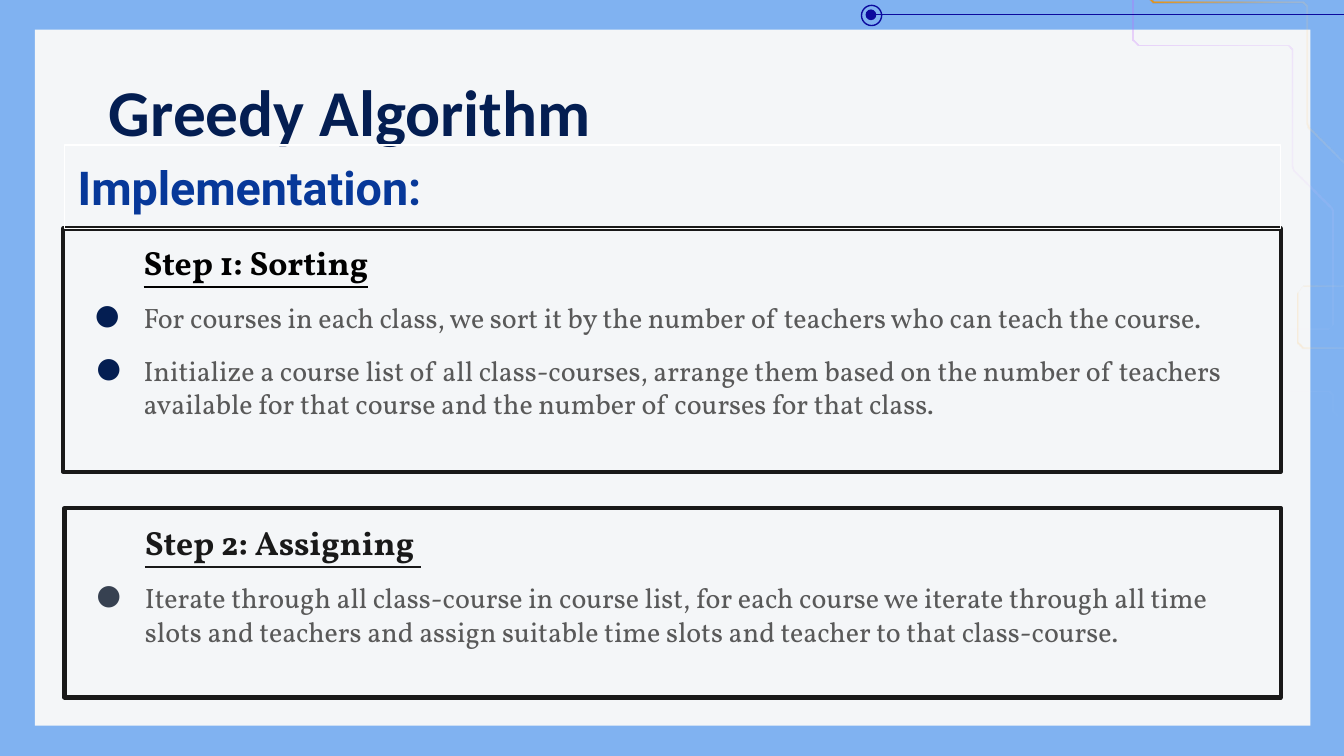
"""Build the Greedy Algorithm implementation slide."""
from dataclasses import dataclass
from typing import Optional

from lxml import etree
from pptx import Presentation
from pptx.dml.color import RGBColor
from pptx.enum.shapes import MSO_CONNECTOR, MSO_SHAPE
from pptx.enum.text import MSO_ANCHOR, MSO_AUTO_SIZE, PP_ALIGN
from pptx.oxml import parse_xml
from pptx.oxml.ns import nsdecls, qn
from pptx.util import Inches, Pt

RECTANGLE = MSO_SHAPE.RECTANGLE
OVAL = MSO_SHAPE.OVAL
STRAIGHT = MSO_CONNECTOR.STRAIGHT
TOP = MSO_ANCHOR.TOP
LEFT = PP_ALIGN.LEFT
NO_AUTOFIT = MSO_AUTO_SIZE.NONE

SLIDE_WIDTH = Inches(10)
SLIDE_HEIGHT = SLIDE_WIDTH * 9 // 16

SKY = RGBColor(0x80, 0xB2, 0xF1)
PAPER = RGBColor(0xF4, 0xF6, 0xF8)
WHITE = RGBColor(0xFF, 0xFF, 0xFF)
BLACK = RGBColor(0x00, 0x00, 0x00)
INK = RGBColor(0x19, 0x19, 0x19)
NAVY = RGBColor(0x04, 0x1E, 0x52)
BLUE = RGBColor(0x07, 0x38, 0x99)
INDIGO = RGBColor(0x0C, 0x0A, 0x9E)
SLATE = RGBColor(0x37, 0x41, 0x51)
GRAY = RGBColor(0x59, 0x59, 0x59)
PURPLE = RGBColor(0x99, 0x00, 0xFF)
AMBER = RGBColor(0xEB, 0x91, 0x09)
ORANGE = RGBColor(0xFF, 0x99, 0x00)

TRACE = [
    (8.43, -3.08), (8.43, -2.23), (8.47, -2.19), (8.89, -2.19), (8.92, -2.16),
    (8.92, -0.68), (8.89, -0.65), (8.47, -0.65), (8.43, -0.61), (8.43, 0.3),
    (8.47, 0.34), (9.58, 0.34), (9.61, 0.37), (9.61, 1.24), (9.62, 1.27),
    (9.9, 1.55), (9.91, 1.57), (9.91, 2.42), (9.88, 2.45), (9.58, 2.45),
    (9.54, 2.5), (9.54, 2.87), (9.58, 2.91), (9.88, 2.91), (9.91, 2.94),
    (9.91, 3.06), (9.95, 3.1), (10.07, 3.1), (10.1, 3.13), (10.07, 3.16),
]
TRACE_WIDTH = 0.01


@dataclass(frozen=True)
class Circuit:
    shift: tuple[float, float]
    angle: int
    stops: list[tuple[int, RGBColor, int]]


@dataclass(frozen=True)
class Step:
    box: tuple[float, float, float, float]
    heading: str
    heading_color: RGBColor
    bullet_color: RGBColor
    bullets: list[tuple[str, float]]


CIRCUITS = [
    Circuit((0, 0), 45, [(0, PURPLE, 47), (100, WHITE, 0)]),
    Circuit((0.11, -0.32), 0,
            [(0, AMBER, 100), (40, ORANGE, 41), (100, WHITE, 0)]),
]

STEPS = [
    Step((0.47, 1.7, 9.06, 1.81), "Step 1: Sorting", BLACK, NAVY, [
        ("For courses in each class, we sort it by the number of teachers "
         "who can teach the course.", 0.36),
        ("Initialize a course list of all class-courses, arrange them based on "
         "the number of teachers available for that course and the number of "
         "courses for that class.", 0.35),
    ]),
    Step((0.48, 3.78, 9.05, 1.41), "Step 2: Assigning ", INK, SLATE, [
        ("Iterate through all class-course in course list, for each course we "
         "iterate through all time slots and teachers and assign suitable time "
         "slots and teacher to that class-course.", 0.36),
    ]),
]


def add_shape(slide, kind, box, fill: Optional[RGBColor] = None,
              line: Optional[RGBColor] = None, width: float = 0.75):
    shape = slide.shapes.add_shape(kind, *map(Inches, box))
    shape.shadow.inherit = False
    if fill is None:
        shape.fill.background()
    else:
        shape.fill.solid()
        shape.fill.fore_color.rgb = fill
    if line is None:
        shape.line.fill.background()
    else:
        shape.line.color.rgb = line
        shape.line.width = Pt(width)
    return shape


def prepare_text(shape):
    frame = shape.text_frame
    frame.word_wrap = True
    frame.auto_size = NO_AUTOFIT
    frame.vertical_anchor = TOP
    frame.margin_left = frame.margin_right = Inches(0.1)
    frame.margin_top = frame.margin_bottom = Inches(0.1)
    frame.paragraphs[0].alignment = LEFT
    return frame


def add_run(paragraph, text: str, font: str, size: float, color: RGBColor,
            bold: bool = True, underline: bool = False) -> None:
    run = paragraph.add_run()
    run.text = text
    run.font.name = font
    run.font.size = Pt(size)
    run.font.bold = bold
    run.font.underline = underline
    run.font.color.rgb = color


def add_circuit(slide, circuit: Circuit) -> None:
    shift_x, shift_y = circuit.shift
    outline = TRACE + [(x + TRACE_WIDTH, y - TRACE_WIDTH)
                       for x, y in reversed(TRACE)]
    points = [(Inches(x + shift_x), Inches(y + shift_y)) for x, y in outline]
    builder = slide.shapes.build_freeform(*points[0], scale=1.0)
    builder.add_line_segments(points[1:], close=True)
    shape = builder.convert_to_shape()
    shape.shadow.inherit = False
    shape.line.fill.background()
    stops = "".join(
        f'<a:gs pos="{position * 1000}"><a:srgbClr val="{color}">'
        f'<a:alpha val="{alpha * 1000}"/></a:srgbClr></a:gs>'
        for position, color, alpha in circuit.stops)
    gradient = parse_xml(
        f'<a:gradFill {nsdecls("a")}><a:gsLst>{stops}</a:gsLst>'
        f'<a:lin ang="{circuit.angle * 60000}" scaled="0"/></a:gradFill>')
    shape.element.spPr.find(qn("a:custGeom")).addnext(gradient)


def add_wire(slide) -> None:
    add_shape(slide, OVAL, (6.41, 0.04, 0.15, 0.15), line=INDIGO)
    wire = slide.shapes.add_connector(
        STRAIGHT, SLIDE_WIDTH, Inches(0.11), Inches(6.52), Inches(0.11))
    wire.line.color.rgb = INDIGO
    wire.line.width = Pt(0.75)
    etree.SubElement(wire.element.spPr, qn("a:effectLst"))
    add_shape(slide, OVAL, (6.44, 0.07, 0.08, 0.08), fill=INDIGO)


def set_bullet(paragraph, hanging: float, color: RGBColor) -> None:
    properties = paragraph._p.get_or_add_pPr()
    properties.set("indent", str(-Inches(hanging)))
    bullet_color = etree.SubElement(properties, qn("a:buClr"))
    etree.SubElement(bullet_color, qn("a:srgbClr"), val=str(color))
    etree.SubElement(properties, qn("a:buFont"), typeface="Vollkorn")
    etree.SubElement(properties, qn("a:buChar"), char="●")


def add_step(slide, step: Step) -> None:
    frame = prepare_text(add_shape(slide, RECTANGLE, step.box, line=INK, width=2.25))
    heading = frame.paragraphs[0]
    heading._p.get_or_add_pPr().set("marL", str(Inches(0.5)))
    add_run(heading, step.heading, "Vollkorn", 18, step.heading_color, underline=True)
    for text, hanging in step.bullets:
        paragraph = frame.add_paragraph()
        paragraph.alignment = LEFT
        paragraph._p.get_or_add_pPr().set("marL", str(Inches(0.5)))
        set_bullet(paragraph, hanging, step.bullet_color)
        paragraph.space_before = Pt(10)
        add_run(paragraph, text, "Vollkorn", 15, GRAY, bold=False)


def add_title(slide) -> None:
    title = slide.shapes.title
    title.left, title.top, title.width, title.height = map(
        Inches, (0.71, 0.43, 8.43, 0.7))
    title.element.getparent().append(title.element)
    add_run(prepare_text(title).paragraphs[0], "Greedy Algorithm", "Calibri", 35, NAVY)


def main() -> None:
    presentation = Presentation()
    presentation.slide_width = SLIDE_WIDTH
    presentation.slide_height = SLIDE_HEIGHT
    slide = presentation.slides.add_slide(presentation.slide_layouts[5])
    slide.background.fill.solid()
    slide.background.fill.fore_color.rgb = SKY
    add_shape(slide, RECTANGLE, (0.26, 0.22, 9.49, 5.18), fill=PAPER)
    for circuit in CIRCUITS:
        add_circuit(slide, circuit)
    add_wire(slide)
    add_title(slide)
    add_step(slide, STEPS[0])
    banner = add_shape(slide, RECTANGLE, (0.48, 1.08, 9.05, 0.62), line=WHITE)
    add_run(prepare_text(banner).paragraphs[0], "Implementation:", "Roboto", 25, BLUE)
    add_step(slide, STEPS[1])
    presentation.save("out.pptx")


if __name__ == "__main__":
    main()
